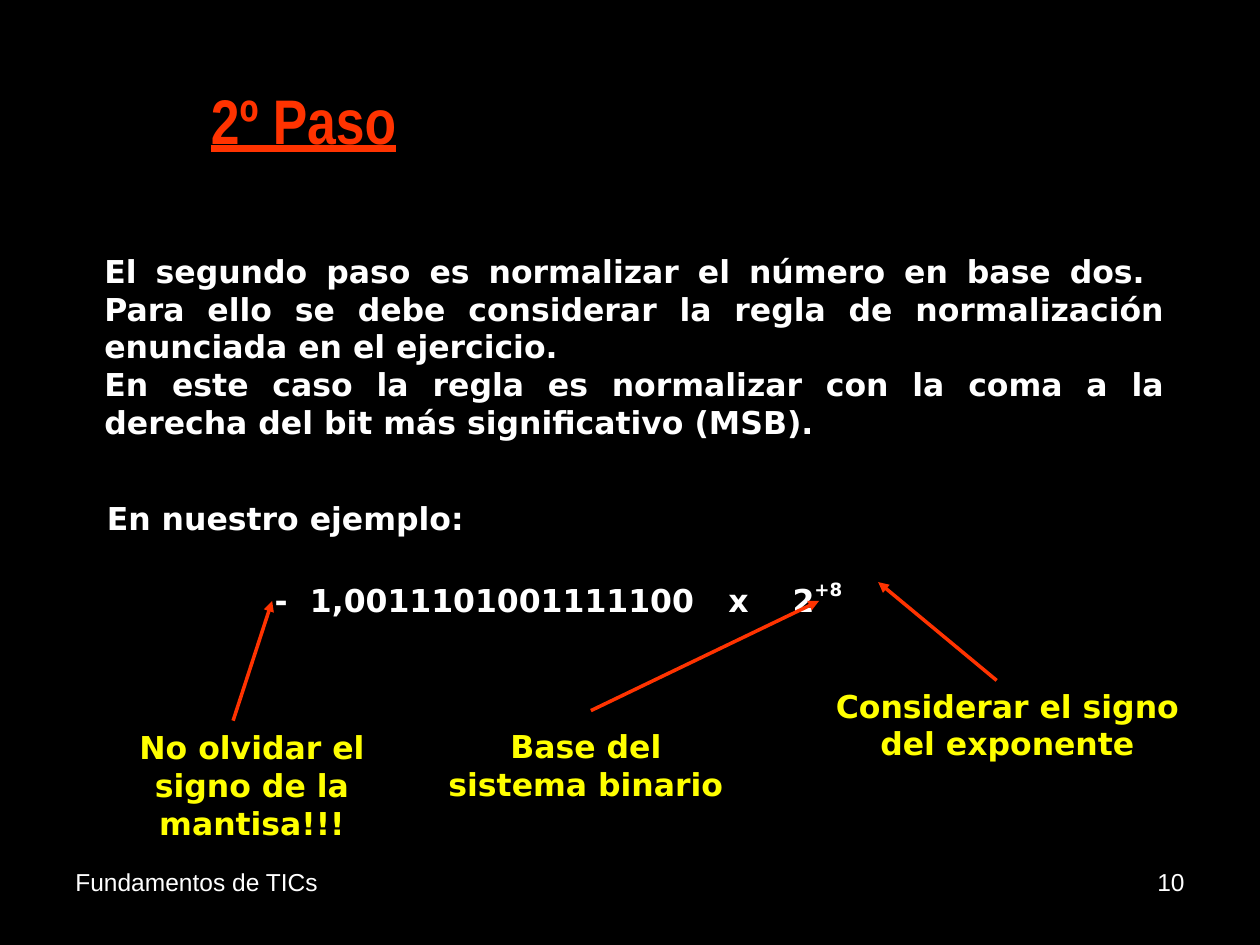
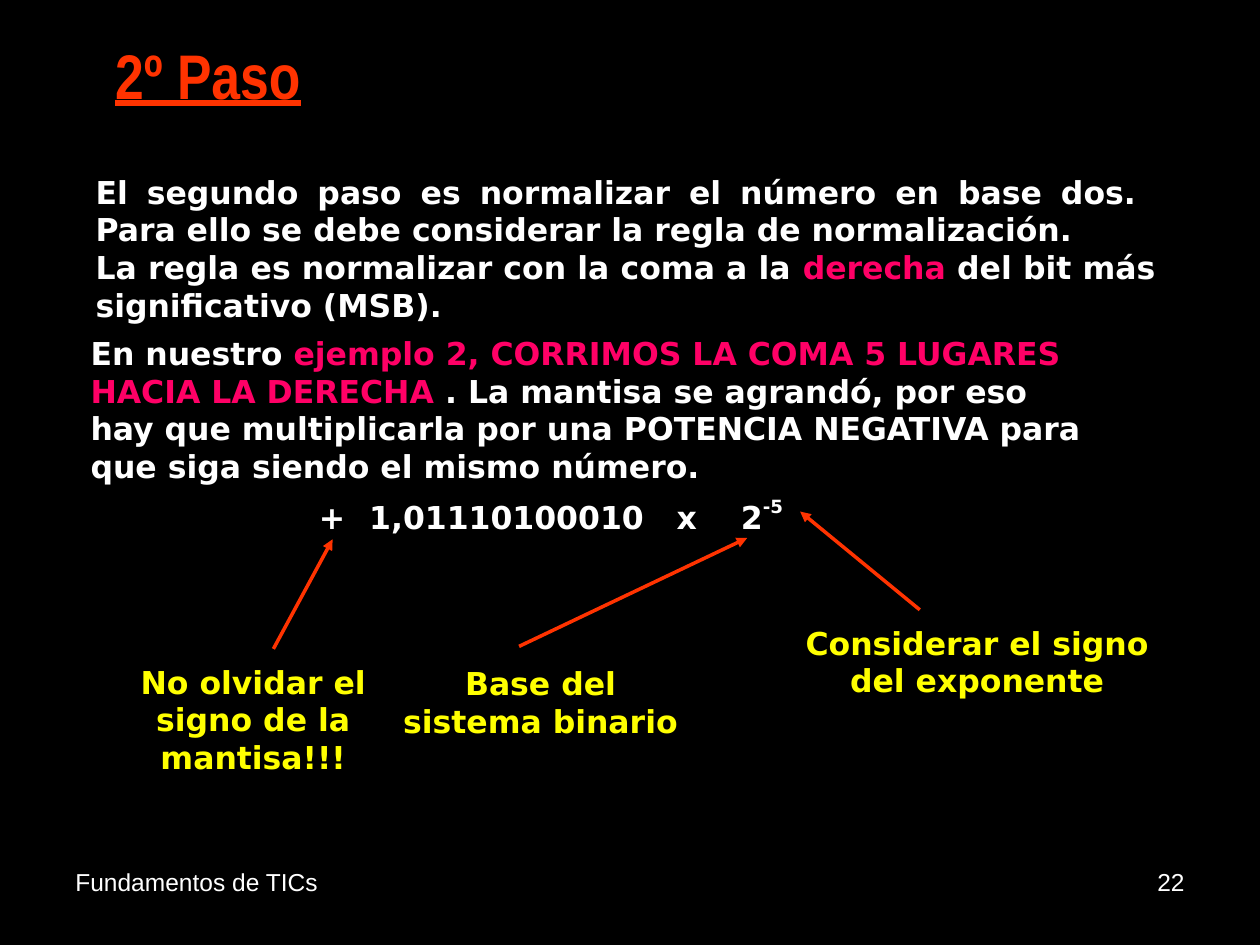
from lxml import etree
from pptx import Presentation
from pptx.dml.color import RGBColor
from pptx.enum import shapes, text
from pptx.oxml import ns
from pptx.util import Inches, Pt

BLACK = RGBColor(0x00, 0x00, 0x00)
WHITE = RGBColor(0xFF, 0xFF, 0xFF)
RED = RGBColor(0xFF, 0x33, 0x00)
YELLOW = RGBColor(0xFF, 0xFF, 0x00)
PINK = RGBColor(0xFF, 0x00, 0x66)

LEFT, CENTER = text.PP_ALIGN.LEFT, text.PP_ALIGN.CENTER
RIGHT, JUSTIFY = text.PP_ALIGN.RIGHT, text.PP_ALIGN.JUSTIFY
GROW = text.MSO_AUTO_SIZE.SHAPE_TO_FIT_TEXT

LABELS = [
    ("No olvidar el signo de la mantisa!!!", 2.7, 1),
    ("Base del sistema binario", 2.44, 0.7),
    ("Considerar el signo del exponente", 3.15, 0.7),
]

STEPS = [
    {
        "number": "10",
        "title": (1.38, 0.6),
        "rule": (0.73, 1.95, 8.61, 1.6),
        "rule_text": [
            [("El segundo paso es normalizar el número en base dos.  Para ello se debe "
              "considerar la regla de normalización enunciada en el ejercicio. ", WHITE)],
            [("En este caso la regla es normalizar con la coma a la derecha del bit más "
              "significativo (MSB).", WHITE)],
        ],
        "example": (0.75, 3.91, 8.21, 0.4),
        "example_text": [[("En nuestro ejemplo:", WHITE)]],
        "formula": (2.01, 4.54, 5.98, 0.4),
        "formula_text": ("-\t1,0011101001111100\tx\t2", "+8"),
        "inset": 0.17,
        "tabs": (0.28, 3.6, 4.11),
        "labels": [(0.65, 5.73), (3.43, 5.72), (6.42, 5.4)],
        "arrows": [(1.85, 5.72, 2.16, 4.77), (4.69, 5.64, 6.5, 4.77), (7.91, 5.4, 6.97, 4.62)],
    },
    {
        "number": "22",
        "title": (0.62, 0.24),
        "rule": (0.66, 1.32, 8.61, 1.31),
        "rule_text": [
            [("El segundo paso es normalizar el número en base dos.  Para ello se debe "
              "considerar la regla de normalización. ", WHITE)],
            [("La regla es normalizar con la coma a la ", WHITE), ("derecha", PINK),
             (" del bit más significativo (MSB).", WHITE)],
        ],
        "example": (0.62, 2.6, 8.21, 1.31),
        "example_text": [
            [("En nuestro ", WHITE),
             ("ejemplo 2, CORRIMOS LA COMA 5 LUGARES HACIA LA DERECHA ", PINK),
             (". La mantisa se agrandó, por eso hay que multiplicarla por una POTENCIA "
              "NEGATIVA para que siga siendo el mismo número.", WHITE)],
        ],
        "formula": (2.19, 3.88, 5.98, 0.4),
        "formula_text": ("+\t1,01110100010\tx\t2", "-5"),
        "inset": 0.34,
        "tabs": (0.4, 2.84, 3.35),
        "labels": [(0.66, 5.21), (3.07, 5.22), (6.18, 4.9)],
        "arrows": [(2.17, 5.15, 2.64, 4.28), (4.12, 5.13, 5.93, 4.27), (7.3, 4.84, 6.35, 4.06)],
    },
]


def add_text(page, area, paragraphs, align=LEFT, font="DejaVu Sans", size=18, bold=True):
    box = page.shapes.add_textbox(*[Inches(length) for length in area])
    frame = box.text_frame
    frame.word_wrap = True
    if bold:
        frame.auto_size = GROW
    for index, spans in enumerate(paragraphs):
        para = frame.add_paragraph() if index else frame.paragraphs[0]
        para.alignment = align
        for words, color in spans:
            span = para.add_run()
            span.text = words
            span.font.name = font
            span.font.size = Pt(size)
            span.font.bold = bold
            span.font.color.rgb = color
    return box


def add_arrow(page, ends):
    arrow = page.shapes.add_connector(
        shapes.MSO_CONNECTOR.STRAIGHT, *[Inches(length) for length in ends])
    arrow.line.color.rgb = RED
    arrow.line.width = Pt(2)
    etree.SubElement(arrow.line._get_or_add_ln(), ns.qn("a:tailEnd"), type="triangle")
    etree.SubElement(arrow._element.spPr, ns.qn("a:effectLst"))


deck = Presentation()
deck.slide_width, deck.slide_height = Inches(10), Inches(7.5)
background = deck.slide_master.background.fill
background.solid()
background.fore_color.rgb = BLACK

for step in STEPS:
    page = deck.slides.add_slide(deck.slide_layouts[6])
    add_text(page, (7.17, 6.83, 2.33, 0.52), [[(step["number"], WHITE)]],
             RIGHT, "Arial", 14, False)

    title = add_text(page, (*step["title"], 2.06, 0.94), [[("2º Paso", RED)]],
                     CENTER, "Arial Narrow", 36)
    title.text_frame.auto_size = text.MSO_AUTO_SIZE.NONE
    title.text_frame.word_wrap = False
    span = title.text_frame.paragraphs[0].runs[0]
    span.font.underline = True
    outline = etree.Element(ns.qn("a:ln"), w=str(Pt(1.5)))
    outline_fill = etree.SubElement(outline, ns.qn("a:solidFill"))
    etree.SubElement(outline_fill, ns.qn("a:srgbClr"), val=str(YELLOW))
    span._r.get_or_add_rPr().insert(0, outline)

    add_text(page, step["rule"], step["rule_text"], JUSTIFY)
    add_text(page, step["example"], step["example_text"])

    formula = add_text(page, step["formula"], [[(words, WHITE) for words in step["formula_text"]]])
    formula.text_frame.margin_left = Inches(step["inset"])
    para = formula.text_frame.paragraphs[0]
    para.runs[1]._r.get_or_add_rPr().set("baseline", "50000")
    stops = etree.SubElement(para._p.get_or_add_pPr(), ns.qn("a:tabLst"))
    for stop in step["tabs"]:
        etree.SubElement(stops, ns.qn("a:tab"), pos=str(Inches(stop)), algn="l")

    for (words, width, height), place, ends in zip(LABELS, step["labels"], step["arrows"]):
        add_arrow(page, ends)
        add_text(page, (*place, width, height), [[(words, YELLOW)]], CENTER)

    add_text(page, (0.5, 6.83, 2.33, 0.52), [[("Fundamentos de TICs", WHITE)]],
             LEFT, "Arial", 14, False)

deck.save("out.pptx")
